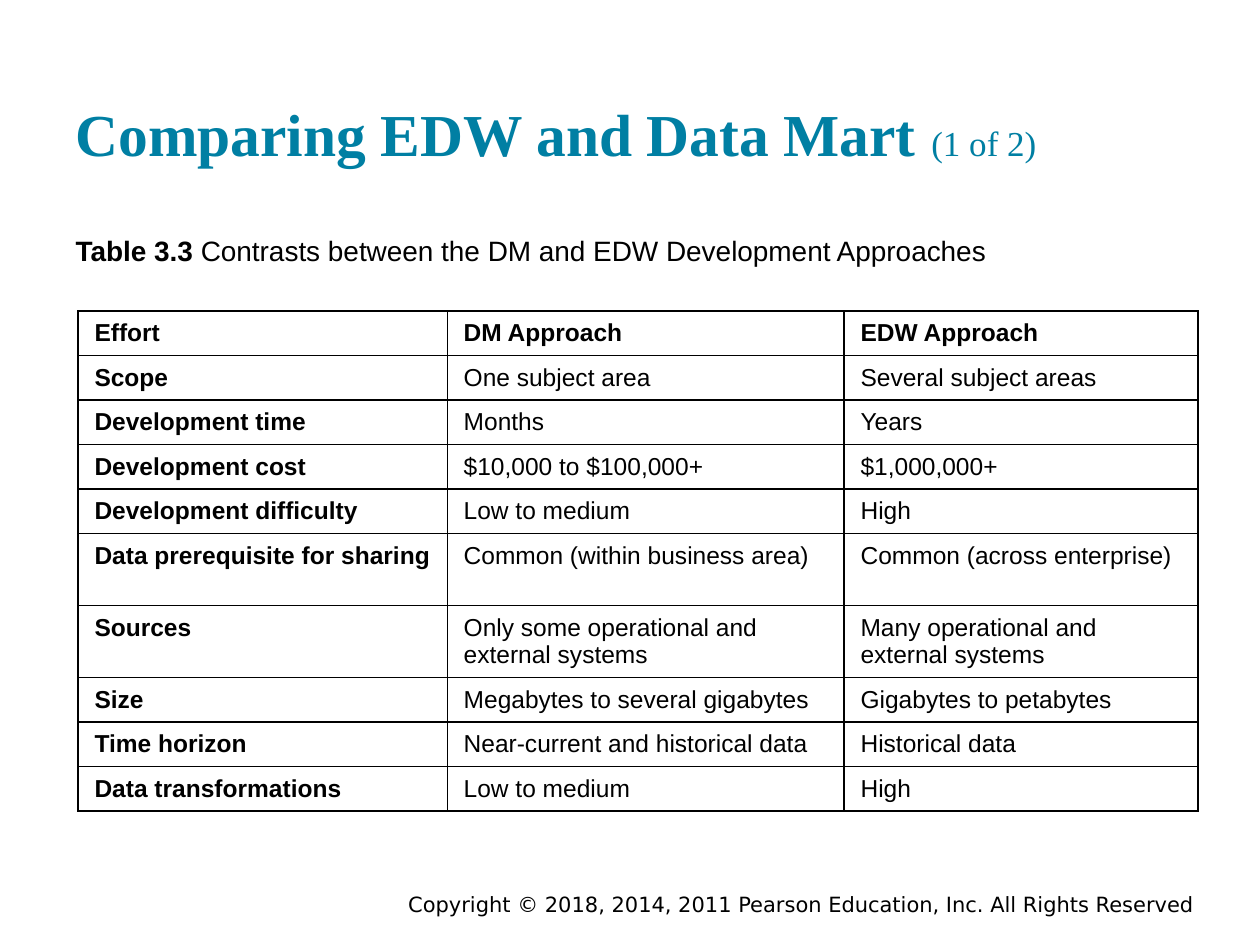
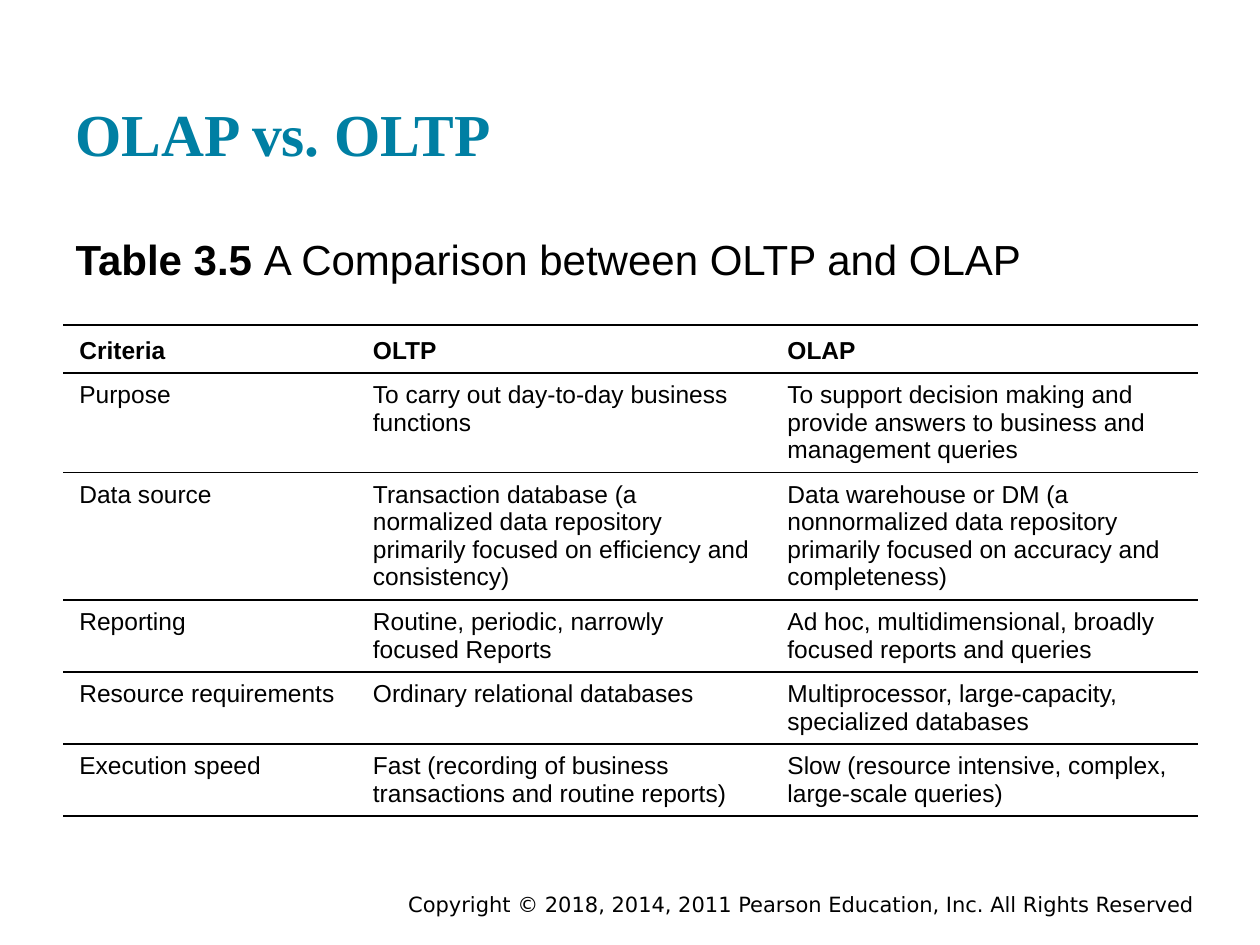
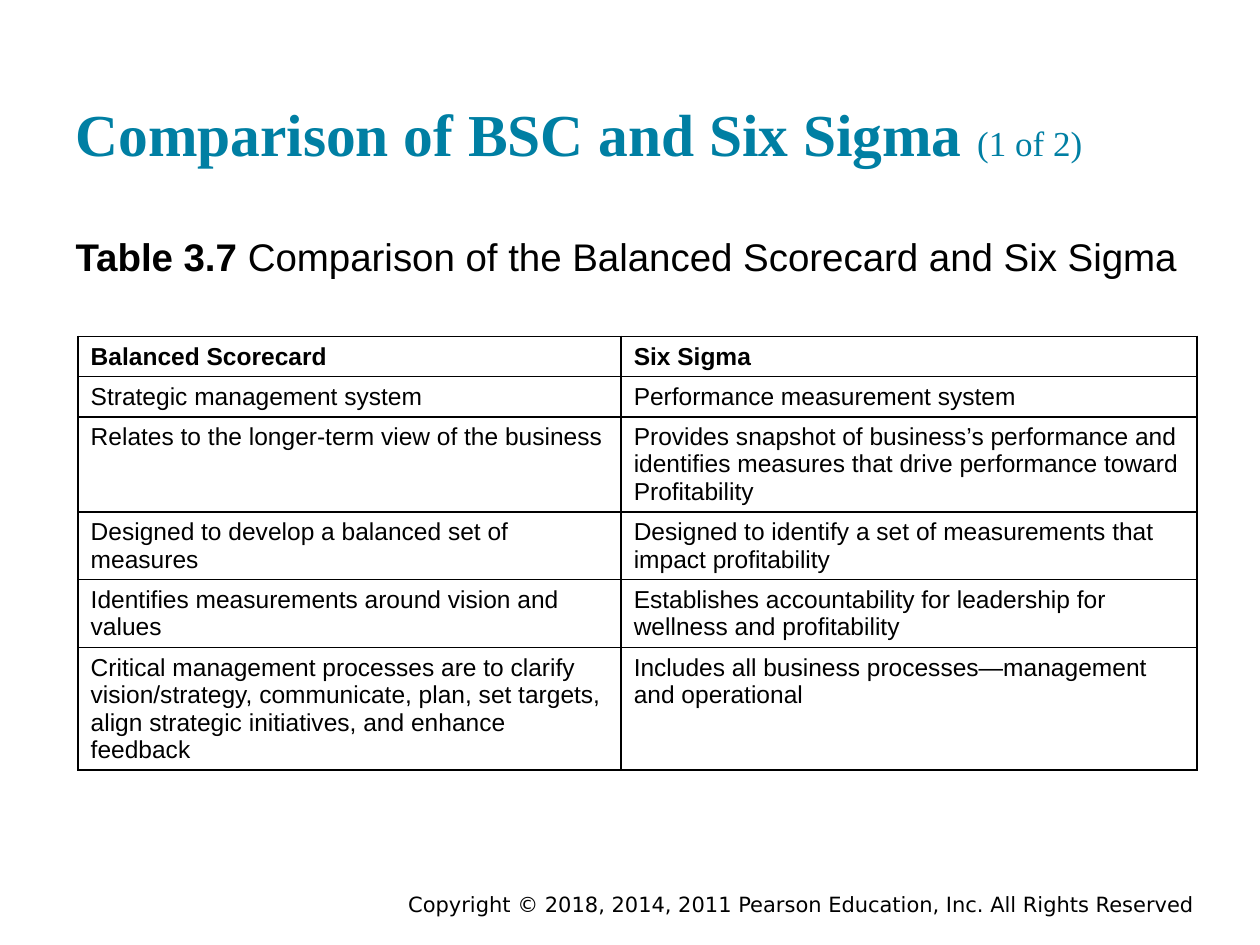
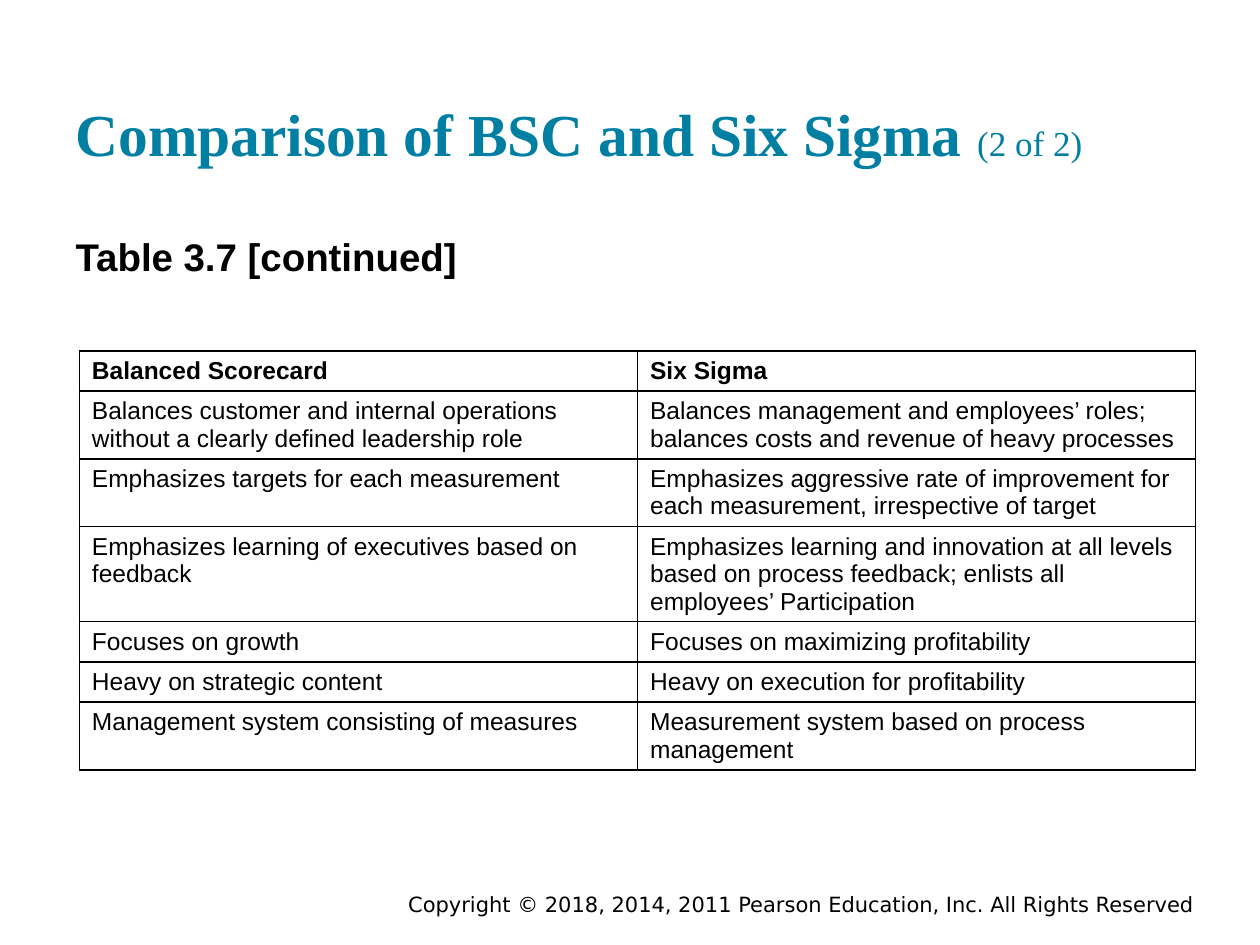
from dataclasses import dataclass

from lxml.etree import SubElement
from pptx import Presentation
from pptx.dml.color import RGBColor
from pptx.enum.text import MSO_ANCHOR, MSO_AUTO_SIZE, PP_ALIGN
from pptx.oxml.ns import qn
from pptx.util import Emu, Inches, Pt

# Shared look; the slide is a grid of 100 columns by 100 rows
SLIDE_WIDTH, SLIDE_HEIGHT = Inches(10), Inches(7.5)
TEAL, BLACK = "007FA3", "000000"
TITLE_FONT, BODY_FONT, FOOTER_FONT = "Times New Roman", "Arial", "DejaVu Sans"
TITLE_SIZE, COUNTER_SIZE, CELL_SIZE, FOOTER_SIZE = 34, 20, 14, 12
COPYRIGHT = "Copyright © 2018, 2014, 2011 Pearson Education, Inc. All Rights Reserved"
LINE_ROWS = 2.9
NO_STYLE = "{2D5ABB26-0587-4C30-8999-92F81FD0307C}"
ALL_SIDES, RULES_ONLY = "LRTB", "TB"


@dataclass(frozen=True)
class Area:
    left: float
    top: float
    width: float
    height: float


@dataclass(frozen=True)
class Padding:
    side: float
    edge: float


@dataclass(frozen=True)
class TableLayout:
    left: float
    top: float
    columns: tuple[float, ...]
    lines: tuple[float, ...]  # text lines that each row has room for
    cells: tuple[tuple[str, ...], ...]
    padding: Padding
    borders: str = ALL_SIDES
    bold_first_column: bool = False
    header_anchor: MSO_ANCHOR = MSO_ANCHOR.TOP


@dataclass(frozen=True)
class Page:
    title: str
    counter: str
    label: str
    caption: str
    caption_size: int
    caption_rows: float
    table: TableLayout


TITLE_AREA = Area(5, 3.2, 90, 16)
FOOTER_AREA = Area(17.5, 93.73, 78.3, 2.93)
CAPTION_TOP = 23.33
WIDE, NORMAL = Padding(1.3, 0.9), Padding(1, 0.67)

# Slide contents
APPROACHES = TableLayout(
    6.2, 32.9, (29.3, 31.5, 28.1), (1, 1, 1, 1, 1, 2, 2, 1, 1, 1),
    (
        ("Effort", "DM Approach", "EDW Approach"),
        ("Scope", "One subject area", "Several subject areas"),
        ("Development time", "Months", "Years"),
        ("Development cost", "$10,000 to $100,000+", "$1,000,000+"),
        ("Development difficulty", "Low to medium", "High"),
        ("Data prerequisite for sharing", "Common (within business area)",
         "Common (across enterprise)"),
        ("Sources", "Only some operational and external systems",
         "Many operational and external systems"),
        ("Size", "Megabytes to several gigabytes", "Gigabytes to petabytes"),
        ("Time horizon", "Near-current and historical data", "Historical data"),
        ("Data transformations", "Low to medium", "High"),
    ),
    WIDE, bold_first_column=True,
)
PROCESSING = TableLayout(
    5, 34.4, (23.3, 32.9, 33.9), (1.13, 3, 4, 2, 2, 2),
    (
        ("Criteria", "OLTP", "OLAP"),
        ("Purpose", "To carry out day-to-day business\nfunctions",
         "To support decision making and\n"
         "provide answers to business and management queries"),
        ("Data source",
         "Transaction database (a normalized data repository "
         "primarily focused on efficiency and consistency)",
         "Data warehouse or DM (a\nnonnormalized data repository\n"
         "primarily focused on accuracy and completeness)"),
        ("Reporting", "Routine, periodic, narrowly focused Reports",
         "Ad hoc, multidimensional, broadly\nfocused reports and queries"),
        ("Resource requirements", "Ordinary relational databases",
         "Multiprocessor, large-capacity,\nspecialized databases"),
        ("Execution speed",
         "Fast (recording of business transactions and routine reports)",
         "Slow (resource intensive, complex, large-scale queries)"),
    ),
    WIDE, borders=RULES_ONLY, header_anchor=MSO_ANCHOR.BOTTOM,
)
METHOD_HEADER = ("Balanced Scorecard", "Six Sigma")
METHODS_FIRST = TableLayout(
    6.2, 35.6, (43.1, 45.7), (1, 1, 3, 2, 2, 4),
    (
        METHOD_HEADER,
        ("Strategic management system", "Performance measurement system"),
        ("Relates to the longer-term view of the business",
         "Provides snapshot of business’s performance and\n"
         "identifies measures that drive performance toward\nProfitability"),
        ("Designed to develop a balanced set of measures",
         "Designed to identify a set of measurements that\nimpact profitability"),
        ("Identifies measurements around vision and values",
         "Establishes accountability for leadership for wellness and profitability"),
        ("Critical management processes are to clarify vision/strategy, "
         "communicate, plan, set targets, align strategic initiatives, "
         "and enhance feedback",
         "Includes all business processes—management and operational"),
    ),
    NORMAL,
)
METHODS_SECOND = TableLayout(
    6.3, 37.13, (44.3, 44.3), (1, 2, 2, 3, 1, 1, 2),
    (
        METHOD_HEADER,
        ("Balances customer and internal operations without a clearly "
         "defined leadership role",
         "Balances management and employees’ roles; balances costs and "
         "revenue of heavy processes"),
        ("Emphasizes targets for each measurement",
         "Emphasizes aggressive rate of improvement for each measurement, "
         "irrespective of target"),
        ("Emphasizes learning of executives based on feedback",
         "Emphasizes learning and innovation at all levels based on process "
         "feedback; enlists all employees’ Participation"),
        ("Focuses on growth", "Focuses on maximizing profitability"),
        ("Heavy on strategic content", "Heavy on execution for profitability"),
        ("Management system consisting of measures",
         "Measurement system based on process management"),
    ),
    NORMAL,
)
PAGES = (
    Page("Comparing EDW and Data Mart", "(1 of 2)", "Table 3.3",
         "Contrasts between the DM and EDW Development Approaches", 16, 5.87, APPROACHES),
    Page("OLAP vs. OLTP", "", "Table 3.5",
         "A Comparison between OLTP and OLAP", 24, 6.53, PROCESSING),
    Page("Comparison of BSC and Six Sigma", "(1 of 2)", "Table 3.7",
         "Comparison of the Balanced Scorecard and Six Sigma", 22, 6.13, METHODS_FIRST),
    Page("Comparison of BSC and Six Sigma", "(2 of 2)", "Table 3.7 [continued]",
         "", 22, 8.67, METHODS_SECOND),
)


# Helpers
def across(columns: float) -> Emu:
    return Emu(round(SLIDE_WIDTH * columns / 100))


def down(rows: float) -> Emu:
    return Emu(round(SLIDE_HEIGHT * rows / 100))


def color(value: str) -> RGBColor:
    return RGBColor.from_string(value)


def place(area: Area) -> tuple[Emu, Emu, Emu, Emu]:
    return across(area.left), down(area.top), across(area.width), down(area.height)


def add_text(para, text: str, *, size: float, font: str = BODY_FONT,
             ink: str = BLACK, bold: bool = False) -> None:
    span = para.add_run()
    span.text = text
    span.font.size = Pt(size)
    span.font.name = font
    span.font.bold = bold
    span.font.color.rgb = color(ink)


def prepare_box(box, area: Area, *, anchor=MSO_ANCHOR.TOP, align=PP_ALIGN.LEFT,
                edge: float = 0.1):
    """Place a text shape and return its first paragraph."""
    box.left, box.top, box.width, box.height = place(area)
    frame = box.text_frame
    frame.word_wrap = True
    frame.auto_size = MSO_AUTO_SIZE.NONE
    frame.vertical_anchor = anchor
    frame.margin_left = frame.margin_right = Inches(0.1)
    frame.margin_top = frame.margin_bottom = Inches(edge)
    para = frame.paragraphs[0]
    para.alignment = align
    para.space_before = Pt(0)
    return para


def remove_bullet(para) -> None:
    properties = para._p.get_or_add_pPr()
    properties.set("marL", "0")
    properties.set("indent", "0")
    SubElement(properties, qn("a:buNone"))


def set_borders(cell, sides: str) -> None:
    properties = cell._tc.get_or_add_tcPr()
    for position, side in enumerate(ALL_SIDES):
        line = SubElement(properties, qn(f"a:ln{side}"), w=str(Pt(1)))
        if side in sides:
            fill = SubElement(line, qn("a:solidFill"))
            SubElement(fill, qn("a:srgbClr"), val=BLACK)
        else:
            SubElement(line, qn("a:noFill"))
        properties.insert(position, line)


# Slide elements
def draw_title(slide, page: Page) -> None:
    para = prepare_box(slide.shapes.title, TITLE_AREA, anchor=MSO_ANCHOR.BOTTOM)
    heading = f"{page.title} " if page.counter else page.title
    add_text(para, heading, size=TITLE_SIZE, font=TITLE_FONT, ink=TEAL, bold=True)
    if page.counter:
        add_text(para, page.counter, size=COUNTER_SIZE, font=TITLE_FONT, ink=TEAL)


def draw_caption(slide, page: Page) -> None:
    area = Area(TITLE_AREA.left, CAPTION_TOP, TITLE_AREA.width, page.caption_rows)
    para = prepare_box(slide.placeholders[1], area)
    remove_bullet(para)
    label = f"{page.label} " if page.caption else page.label
    add_text(para, label, size=page.caption_size, bold=True)
    if page.caption:
        add_text(para, page.caption, size=page.caption_size)


def draw_cell(cell, text: str, layout: TableLayout, *, bold: bool,
              anchor: MSO_ANCHOR) -> None:
    cell.fill.background()
    set_borders(cell, layout.borders)
    cell.vertical_anchor = anchor
    cell.margin_left = cell.margin_right = across(layout.padding.side)
    cell.margin_top = cell.margin_bottom = down(layout.padding.edge)
    frame = cell.text_frame
    for index, line in enumerate(text.split("\n")):
        para = frame.add_paragraph() if index else frame.paragraphs[0]
        add_text(para, line, size=CELL_SIZE, bold=bold)


def draw_table(slide, layout: TableLayout) -> None:
    heights = [count * LINE_ROWS + 2 * layout.padding.edge for count in layout.lines]
    area = Area(layout.left, layout.top, sum(layout.columns), sum(heights))
    table = slide.shapes.add_table(len(heights), len(layout.columns), *place(area)).table
    table.first_row = table.horz_banding = False
    table._tbl.tblPr.find(qn("a:tableStyleId")).text = NO_STYLE
    for column, width in zip(table.columns, layout.columns):
        column.width = across(width)
    for row, height in zip(table.rows, heights):
        row.height = down(height)
    for row_index, texts in enumerate(layout.cells):
        is_header = row_index == 0
        for column_index, text in enumerate(texts):
            draw_cell(
                table.cell(row_index, column_index), text, layout,
                bold=is_header or (layout.bold_first_column and column_index == 0),
                anchor=layout.header_anchor if is_header else MSO_ANCHOR.TOP,
            )


def draw_footer(slide) -> None:
    box = slide.shapes.add_textbox(*place(FOOTER_AREA))
    para = prepare_box(box, FOOTER_AREA, align=PP_ALIGN.RIGHT, edge=0.05)
    add_text(para, COPYRIGHT, size=FOOTER_SIZE, font=FOOTER_FONT)


def main() -> None:
    deck = Presentation()
    deck.slide_width, deck.slide_height = SLIDE_WIDTH, SLIDE_HEIGHT
    for page in PAGES:
        slide = deck.slides.add_slide(deck.slide_layouts[1])
        draw_title(slide, page)
        draw_caption(slide, page)
        draw_table(slide, page.table)
        draw_footer(slide)
    deck.save("out.pptx")


if __name__ == "__main__":
    main()
